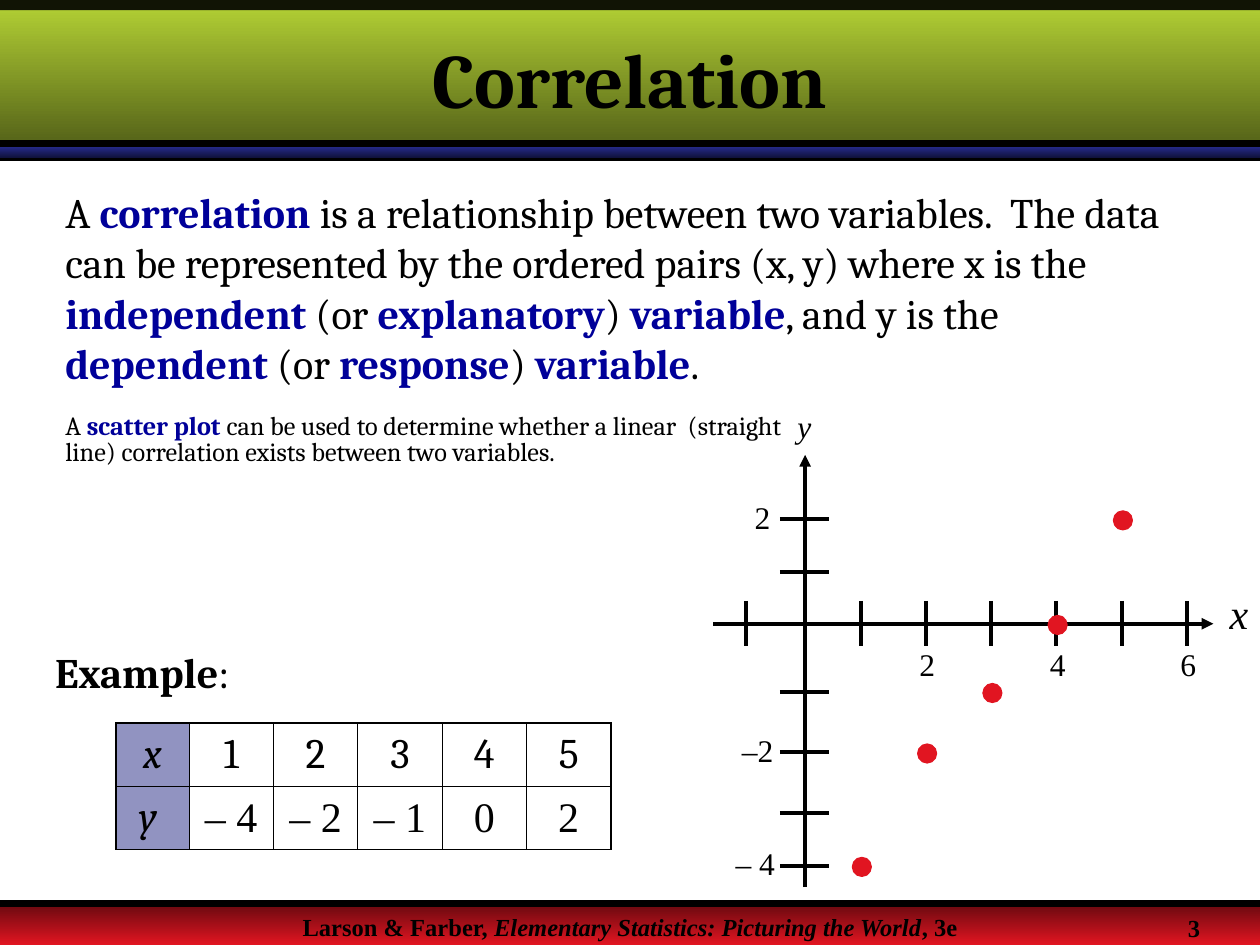
from pptx import Presentation
from pptx.dml.color import RGBColor
from pptx.enum.shapes import MSO_CONNECTOR, MSO_SHAPE
from pptx.enum.text import MSO_ANCHOR, PP_ALIGN
from pptx.oxml.ns import qn
from pptx.util import Inches, Pt
from lxml.etree import SubElement, Element

BLACK = RGBColor(0x00, 0x00, 0x00)
NAVY = RGBColor(0x00, 0x00, 0x99)
INDIGO = RGBColor(0x24, 0x29, 0x85)
INDIGO_DARK = RGBColor(0x10, 0x12, 0x3D)
LIME = RGBColor(0xB5, 0xD3, 0x35)
OLIVE = RGBColor(0x53, 0x61, 0x18)
RED = RGBColor(0xE1, 0x15, 0x21)
MAROON = RGBColor(0x67, 0x09, 0x0F)
SERIF, TIMES = "Cambria", "Times New Roman"

X_TICKS = {n: 63.12 + 5.18 * n for n in range(1, 7)} | {-1: 59.2}
Y_TICKS = {2: 41.2, 1: 45.4, -1: 54.9, -2: 59.7, -3: 64.5, -4: 68.7}
X_AXIS_ROW, Y_AXIS_COL = 49.5, 63.9
DATA = {1: -4, 2: -2, 3: -1, 4: 0, 5: 2}


class Deck:
    """Draws styled elements on a slide with a grid of 100 columns by 75 rows."""

    def __init__(self):
        self.prs = Presentation()
        self.prs.slide_width, self.prs.slide_height = Inches(10), Inches(7.5)
        self.slide = self.prs.slides.add_slide(self.prs.slide_layouts[5])
        self.shapes = self.slide.shapes

    def grid(self, *cells):
        return [round(self.prs.slide_width * c / 100) for c in cells]

    def fade(self, element, percent):
        color = element.find(".//" + qn("a:srgbClr"))
        SubElement(color, qn("a:alpha")).set("val", str(percent * 1000))

    def fill_text(self, p, text, size, font, accent=None, **style):
        p.font.size, p.font.name = Pt(size), font
        p.font.color.rgb = BLACK
        for name, value in style.items():
            setattr(p.font, name, value)
        for i, part in enumerate(text.split("*")):
            r = p.add_run()
            r.text = part
            if i % 2:
                for name, value in accent.items():
                    if name == "color":
                        r.font.color.rgb = value
                    else:
                        setattr(r.font, name, value)

    def title(self, at, text):
        sp = self.shapes.title
        sp.left, sp.top, sp.width, sp.height = self.grid(*at)
        sp.text_frame.vertical_anchor = MSO_ANCHOR.MIDDLE
        p = sp.text_frame.paragraphs[0]
        p.alignment = PP_ALIGN.CENTER
        self.fill_text(p, text, 44, SERIF, bold=True)
        self.shapes._spTree.append(sp._element)

    def text(self, at, text, size, font, align=PP_ALIGN.LEFT, spacing=None, **style):
        tf = self.shapes.add_textbox(*self.grid(*at)).text_frame
        tf.word_wrap = True
        p = tf.paragraphs[0]
        p.alignment, p.line_spacing = align, spacing
        self.fill_text(p, text, size, font, **style)

    def shape(self, kind, at):
        sp = self.shapes.add_shape(kind, *self.grid(*at))
        sp.shadow.inherit = False
        sp.line.fill.background()
        return sp

    def band(self, top, height, *colors):
        sp = self.shape(MSO_SHAPE.RECTANGLE, (0, top, 100, height))
        sp.fill.gradient()
        sp.fill.gradient_angle = 270
        for stop, color in zip(sp.fill.gradient_stops, colors):
            stop.color.rgb = color

    def veil(self, top, height, percent):
        sp = self.shape(MSO_SHAPE.RECTANGLE, (0, top, 100, height))
        sp.fill.solid()
        sp.fill.fore_color.rgb = BLACK
        self.fade(sp._element.spPr, percent)

    def dot(self, col, row, size=1.5):
        sp = self.shape(MSO_SHAPE.OVAL, (col - size / 2, row - size / 2, size, size))
        sp.fill.solid()
        sp.fill.fore_color.rgb = sp.line.color.rgb = RED
        sp.line.width = Pt(0.75)

    def line(self, x1, y1, x2, y2, width=2.25, arrow=False):
        ends = self.grid(x1, y1, x2, y2)
        cx = self.shapes.add_connector(MSO_CONNECTOR.STRAIGHT, *ends)
        cx.line.color.rgb, cx.line.width = BLACK, Pt(width)
        spPr = cx._element.spPr
        if arrow:
            SubElement(spPr.find(qn("a:ln")), qn("a:tailEnd")).set("type", "triangle")
        SubElement(spPr, qn("a:effectLst"))

    def border(self, cell, sides):
        for i, (side, width) in enumerate(sides.items()):
            ln = Element(qn("a:ln" + side), w=str(Pt(width)))
            fill = SubElement(ln, qn("a:solidFill"))
            SubElement(fill, qn("a:srgbClr")).set("val", str(BLACK))
            cell._tc.get_or_add_tcPr().insert(i, ln)

    def table(self, at, rows, widths):
        last_row, last_col = len(rows) - 1, len(widths) - 1
        frame = self.shapes.add_table(len(rows), len(widths), *self.grid(*at))
        table = frame.table
        table.first_row = table.horz_banding = False
        for column, width in zip(table.columns, self.grid(*widths)):
            column.width = width
        for i, row in enumerate(rows):
            for j, value in enumerate(row):
                cell = table.cell(i, j)
                cell.vertical_anchor = MSO_ANCHOR.MIDDLE
                head = j == 0
                if head:
                    cell.fill.solid()
                    cell.fill.fore_color.rgb = INDIGO
                    self.fade(cell._tc.tcPr, 50)
                else:
                    cell.fill.background()
                outer = {"L": head, "R": j == last_col, "T": i == 0, "B": i == last_row}
                self.border(cell, {s: 1.08 if o else 0.45 for s, o in outer.items()})
                p = cell.text_frame.paragraphs[0]
                p.alignment = PP_ALIGN.CENTER
                font = SERIF if head or i == 0 else TIMES
                self.fill_text(p, value, 24, font, italic=head)


def draw_frame(deck):
    """Draws the header and footer bands."""
    deck.band(71.7, 3.3, MAROON, RED)
    deck.line(0, 12.5, 100, 12.5, 4)
    deck.text((0, 71.9, 100, 2),
              "Larson & Farber, *Elementary Statistics: Picturing the World*, 3e",
              14, TIMES, PP_ALIGN.CENTER, bold=True, accent={"italic": True})
    deck.band(11.7, 0.8, INDIGO, INDIGO_DARK)
    deck.band(0, 11.7, LIME, OLIVE)
    deck.line(0, 71.7, 100, 71.7, 4)
    deck.veil(0, 0.8, 90)
    deck.line(0, 11.4, 100, 11.4, 4)
    deck.text((93.3, 72, 6.7, 3), "3", 14, TIMES, bold=True)


def draw_plot(deck):
    """Draws the axes, ticks, labels and points of the scatter plot."""
    deck.line(56.6, X_AXIS_ROW, 96.3, X_AXIS_ROW, arrow=True)
    deck.line(Y_AXIS_COL, 70.4, Y_AXIS_COL, 36.1, arrow=True)
    for col in X_TICKS.values():
        deck.line(col, X_AXIS_ROW - 1.8, col, X_AXIS_ROW + 1.8)
    for row in Y_TICKS.values():
        deck.line(Y_AXIS_COL - 2, row, Y_AXIS_COL + 1.9, row)
    for n in (2, 4, 6):
        deck.text((X_TICKS[n] - 1.5, 50.7, 6, 4), str(n), 18, TIMES)
    for n, label, col in ((2, "2", 58.9), (-2, "–2", 57.9), (-4, "– 4", 57.4)):
        deck.text((col, Y_TICKS[n] - 2.2, 6, 4), label, 18, TIMES)
    deck.text((96.6, 46.1, 5.9, 5), "x", 24, TIMES, italic=True)
    deck.text((62.3, 31.8, 6.9, 4), "y", 18, TIMES, italic=True)
    for x, y in DATA.items():
        deck.dot(X_TICKS[x] + 0.1, Y_TICKS.get(y, X_AXIS_ROW) + 0.1)


def main():
    """Builds the correlation slide."""
    deck = Deck()
    term = {"bold": True, "color": NAVY}
    draw_frame(deck)
    deck.title((0, 0.8, 100, 10.8), "Correlation")
    deck.text((4.2, 14.3, 91.7, 17.1),
              "A *correlation *is a relationship between two variables.  The data can be "
              "represented by the ordered pairs (x, y) where x is the* independent *(or"
              "* explanatory*)* variable*, and y is the* dependent *(or* response*)"
              "* variable*.", 24, SERIF, accent=term)
    deck.text((4.2, 32.5, 59.2, 9.2),
              "A *scatter plot *can be used to determine whether a linear  (straight line) "
              "correlation exists between two variables.",
              15, SERIF, spacing=0.8, accent=term)
    draw_plot(deck)
    rows = [["x", *map(str, DATA)],
            ["y ", *(f"– {-y}" if y < 0 else str(y) for y in DATA.values())]]
    deck.table((9.2, 57.4, 39.2, 10), rows, [5.8] + [6.7] * len(DATA))
    deck.text((3.4, 50.8, 18, 5), "*Example*:", 24, SERIF, accent={"bold": True})
    deck.prs.save("out.pptx")


if __name__ == "__main__":
    main()
